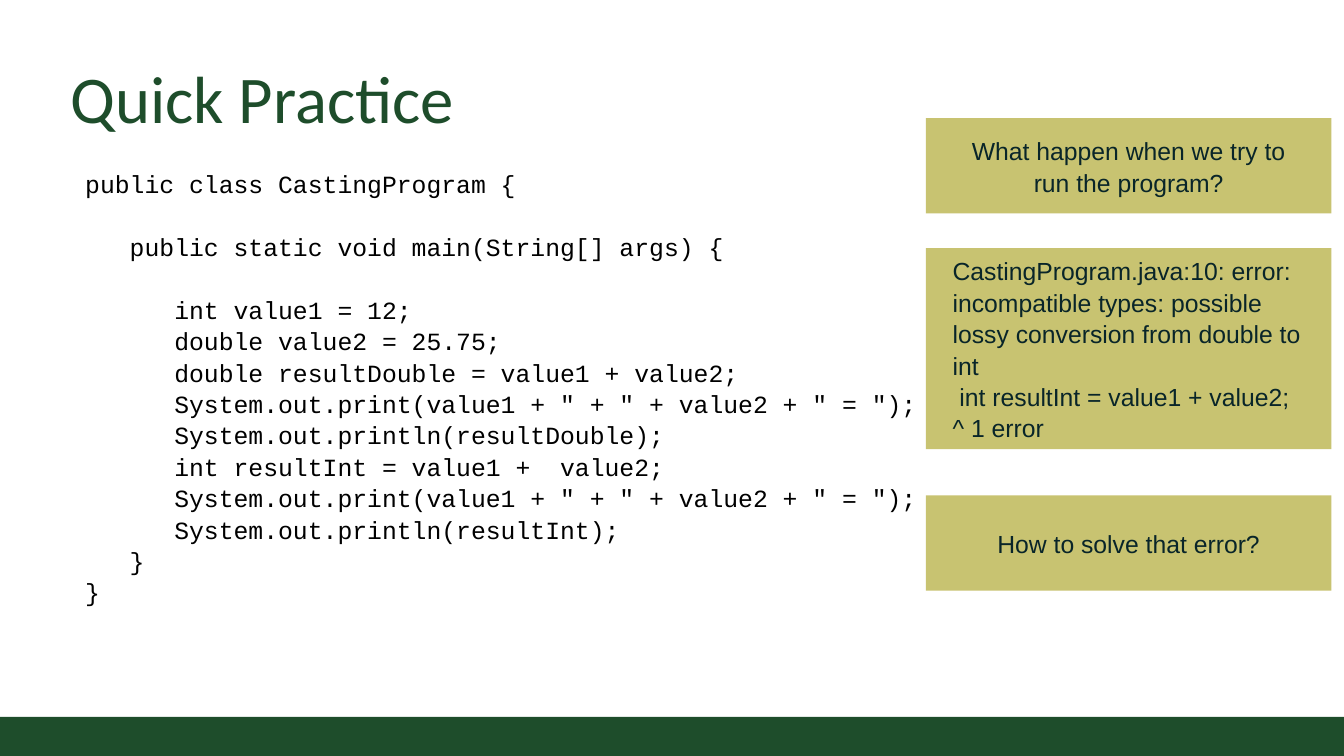
from pptx import Presentation
from pptx.dml.color import RGBColor
from pptx.enum.shapes import MSO_SHAPE
from pptx.enum.text import MSO_ANCHOR, MSO_AUTO_SIZE, PP_ALIGN
from pptx.util import Inches, Pt

RECTANGLE = MSO_SHAPE.RECTANGLE
MIDDLE, BOTTOM = MSO_ANCHOR.MIDDLE, MSO_ANCHOR.BOTTOM
LEFT, CENTER = PP_ALIGN.LEFT, PP_ALIGN.CENTER
NO_AUTOSIZE = MSO_AUTO_SIZE.NONE

GREEN = RGBColor(0x1E, 0x4D, 0x2B)
KHAKI = RGBColor(0xC8, 0xC3, 0x71)
INK = RGBColor(0x09, 0x25, 0x29)
BLACK = RGBColor(0, 0, 0)

TITLE = "Quick Practice"
CODE = """public class CastingProgram {

   public static void main(String[] args) {

      int value1 = 12;
      double value2 = 25.75;
      double resultDouble = value1 + value2;
      System.out.print(value1 + " + " + value2 + " = ");
      System.out.println(resultDouble);
      int resultInt = value1 +  value2;
      System.out.print(value1 + " + " + value2 + " = ");
      System.out.println(resultInt);
   }
}"""
# Text, alignment, top and height of each card
CARDS = [
    ("What happen when we try to run the program?", CENTER, 1.33, 1.07),
    ("CastingProgram.java:10: error: incompatible types: possible lossy "
     "conversion from double to int\n"
     " int resultInt = value1 + value2; ^ 1 error", LEFT, 2.79, 2.26),
    ("How to solve that error?", CENTER, 5.57, 1.07),
]

SLIDE_WIDTH, SLIDE_HEIGHT = 15.11, 8.5
FOOTER_HEIGHT = 0.44
CARD_LEFT, CARD_WIDTH = 10.41, 4.56
LINE_SPACING = 1.06


def set_margins(frame, left, top, right, bottom):
    frame.margin_left, frame.margin_top = Inches(left), Inches(top)
    frame.margin_right, frame.margin_bottom = Inches(right), Inches(bottom)


def write(frame, text, font_name, size, color, alignment=LEFT):
    frame.text = text
    frame.word_wrap = True
    frame.auto_size = NO_AUTOSIZE
    for para in frame.paragraphs:
        para.alignment = alignment
        para.line_spacing = LINE_SPACING
        para.font.size = Pt(size)
        for span in para.runs:
            span.font.name = font_name
            span.font.size = Pt(size)
            span.font.color.rgb = color


def add_block(page, left, top, width, height, color):
    block = page.shapes.add_shape(
        RECTANGLE, Inches(left), Inches(top), Inches(width), Inches(height))
    block.shadow.inherit = False
    block.fill.solid()
    block.fill.fore_color.rgb = color
    block.line.fill.background()
    return block


def main():
    deck = Presentation()
    deck.slide_width, deck.slide_height = Inches(SLIDE_WIDTH), Inches(SLIDE_HEIGHT)
    page = deck.slides.add_slide(deck.slide_layouts.get_by_name("Title Only"))

    add_block(page, 0, SLIDE_HEIGHT - FOOTER_HEIGHT, SLIDE_WIDTH, FOOTER_HEIGHT, GREEN)

    title = page.shapes.title
    title.left, title.top = Inches(0.69), Inches(0.49)
    title.width, title.height = Inches(13.74), Inches(1.11)
    write(title.text_frame, TITLE, "Calibri", 54, GREEN)
    title.text_frame.vertical_anchor = BOTTOM
    set_margins(title.text_frame, 0.1, 0.1, 0.1, 0.06)

    code_box = page.shapes.add_textbox(
        Inches(0.86), Inches(1.83), Inches(10.62), Inches(4.81))
    write(code_box.text_frame, CODE, "Courier New", 20, BLACK)

    for text, alignment, top, height in CARDS:
        card = add_block(page, CARD_LEFT, top, CARD_WIDTH, height, KHAKI)
        write(card.text_frame, text, "Arial", 20, INK, alignment)
        card.text_frame.vertical_anchor = MIDDLE
        set_margins(card.text_frame, 0.3, 0.2, 0.3, 0.2)

    deck.save("out.pptx")


if __name__ == "__main__":
    main()
